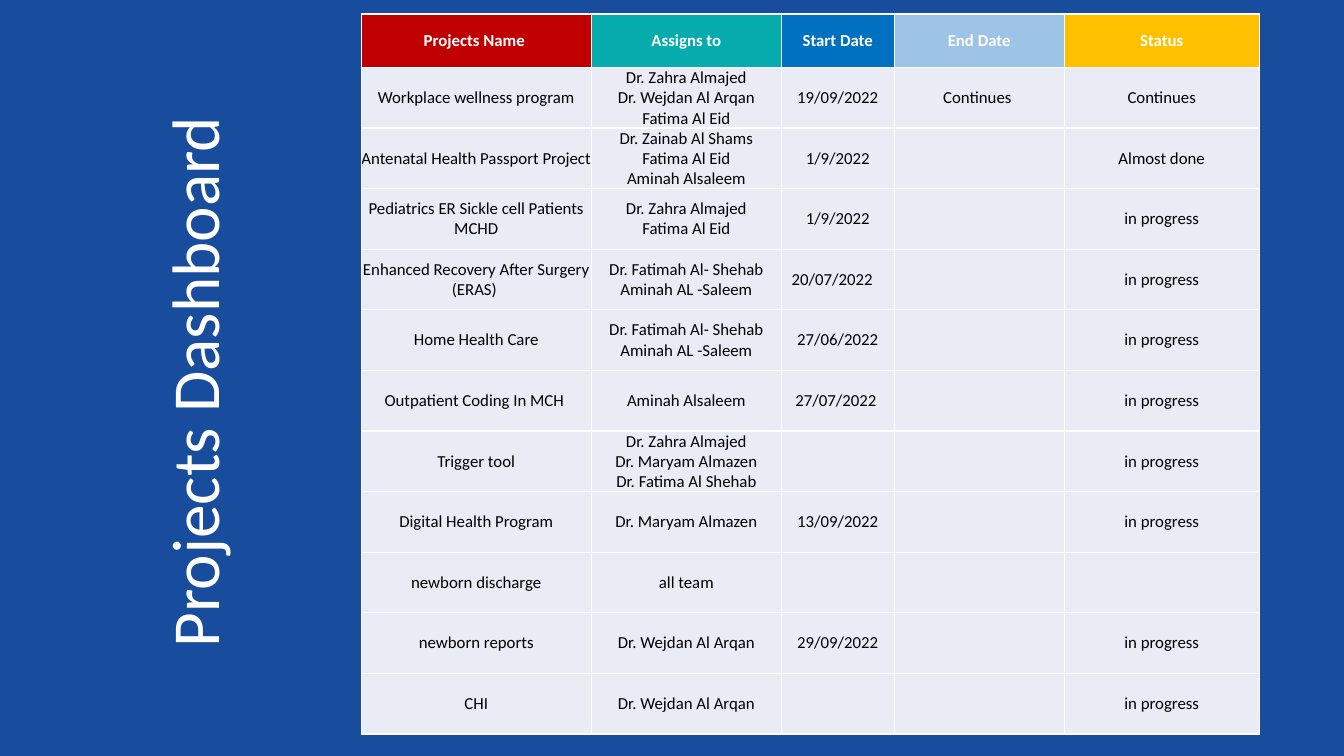
from dataclasses import dataclass

from lxml.etree import SubElement
from pptx import Presentation
from pptx.dml.color import RGBColor
from pptx.enum.text import MSO_ANCHOR as Anchor, MSO_AUTO_SIZE as AutoSize, PP_ALIGN as Align
from pptx.oxml.ns import qn
from pptx.slide import Slide
from pptx.table import _Cell as Cell
from pptx.text.text import Font
from pptx.util import Pt

FONT = "Calibri"
BACKGROUND, BODY_FILL = "184D9D", "E9EBF5"
WHITE, BLACK = "FFFFFF", "000000"
HEADER_HEIGHT, ROW_HEIGHT = 38.2, 43.3


@dataclass
class Column:
    heading: str
    width: float
    fill: str


@dataclass
class Project:
    name: str
    team: str
    start: str = ""
    end: str = ""
    status: str = "in progress"
    start_inset: float = 0


COLUMNS = [
    Column("Projects Name ", 164.4, "C00000"),
    Column("Assigns to", 135.8, "05ABAD"),
    Column("Start Date", 80.5, "0070C0"),
    Column("End Date", 121.6, "9DC3E6"),
    Column("Status", 139.2, "FFC000"),
]

PROJECTS = [
    Project("Workplace wellness program", "Dr. Zahra Almajed\nDr. Wejdan Al Arqan\nFatima Al Eid",
            "19/09/2022", "Continues ", "Continues"),
    Project("Antenatal Health Passport Project",
            "Dr. Zainab Al Shams\nFatima Al Eid\nAminah Alsaleem", "1/9/2022", status="Almost done"),
    Project("Pediatrics ER Sickle cell Patients MCHD", "Dr. Zahra Almajed\nFatima Al Eid", "1/9/2022"),
    Project("Enhanced Recovery After Surgery (ERAS) ", "Dr. Fatimah Al- Shehab\nAminah AL -Saleem",
            "20/07/2022", start_inset=8),
    Project("Home Health Care", "Dr. Fatimah Al- Shehab\nAminah AL -Saleem", "27/06/2022"),
    Project("Outpatient Coding In MCH ", "Aminah Alsaleem", "27/07/2022 "),
    Project("Trigger tool", "Dr. Zahra Almajed\nDr. Maryam Almazen\nDr. Fatima Al Shehab"),
    Project("Digital Health Program", "Dr. Maryam Almazen", "13/09/2022"),
    Project("newborn discharge", "all team", status=""),
    Project("newborn reports", "Dr. Wejdan Al Arqan", "29/09/2022"),
    Project("CHI", "Dr. Wejdan Al Arqan"),
]


def rgb(color: str) -> RGBColor:
    return RGBColor.from_string(color)


def style_font(font: Font, size: float, color: str, bold: bool = False) -> None:
    font.name, font.size, font.bold = FONT, Pt(size), bold
    font.color.rgb = rgb(color)


def add_borders(cell: Cell) -> None:
    """Put a thin white line on all four sides; must precede the cell's fill."""
    tc_pr = cell._tc.get_or_add_tcPr()
    for side in ("a:lnL", "a:lnR", "a:lnT", "a:lnB"):
        line = SubElement(tc_pr, qn(side), w=str(Pt(1)))
        SubElement(SubElement(line, qn("a:solidFill")), qn("a:srgbClr"), val=WHITE)


def fill_cell(cell: Cell, text: str, fill: str, color: str = BLACK, bold: bool = False) -> None:
    add_borders(cell)
    cell.fill.solid()
    cell.fill.fore_color.rgb = rgb(fill)
    cell.margin_left = cell.margin_right = cell.margin_top = cell.margin_bottom = 0
    cell.vertical_anchor = Anchor.MIDDLE
    p = cell.text_frame.paragraphs[0]
    p.alignment = Align.CENTER
    if not text:
        return
    for i, line in enumerate(text.split("\n")):
        if i:
            p.add_line_break()
        r = p.add_run()
        r.text = line
        style_font(r.font, 12, color, bold)


def add_project_table(s: Slide) -> None:
    height = HEADER_HEIGHT + ROW_HEIGHT * len(PROJECTS)
    width = sum(column.width for column in COLUMNS)
    table = s.shapes.add_table(len(PROJECTS) + 1, len(COLUMNS),
                               Pt(258), Pt(10), Pt(width), Pt(height)).table
    table.horz_banding = False
    table.rows[0].height = Pt(HEADER_HEIGHT)
    for i, column in enumerate(COLUMNS):
        table.columns[i].width = Pt(column.width)
        fill_cell(table.cell(0, i), column.heading, column.fill, WHITE, True)
    for row, project in enumerate(PROJECTS, 1):
        table.rows[row].height = Pt(ROW_HEIGHT)
        values = (project.name, project.team, project.start, project.end, project.status)
        for i, value in enumerate(values):
            fill_cell(table.cell(row, i), value, BODY_FILL)
        table.cell(row, 2).margin_right = Pt(project.start_inset)


def set_title(s: Slide, text: str) -> None:
    title = s.shapes.title
    title.left, title.top, title.width, title.height = Pt(-66.2), Pt(234.7), Pt(408.2), Pt(65.5)
    title.rotation = 270
    tf = title.text_frame
    tf.word_wrap = False
    tf.auto_size = AutoSize.SHAPE_TO_FIT_TEXT
    tf.vertical_anchor = Anchor.TOP
    p = tf.paragraphs[0]
    p.alignment = Align.CENTER
    r = p.add_run()
    r.text = text
    style_font(r.font, 48, WHITE)


def main() -> None:
    prs = Presentation()
    prs.slide_width, prs.slide_height = Pt(960), Pt(540)
    s = prs.slides.add_slide(prs.slide_layouts[5])
    s.background.fill.solid()
    s.background.fill.fore_color.rgb = rgb(BACKGROUND)
    add_project_table(s)
    set_title(s, "Projects Dashboard ")
    prs.save("out.pptx")


if __name__ == "__main__":
    main()
